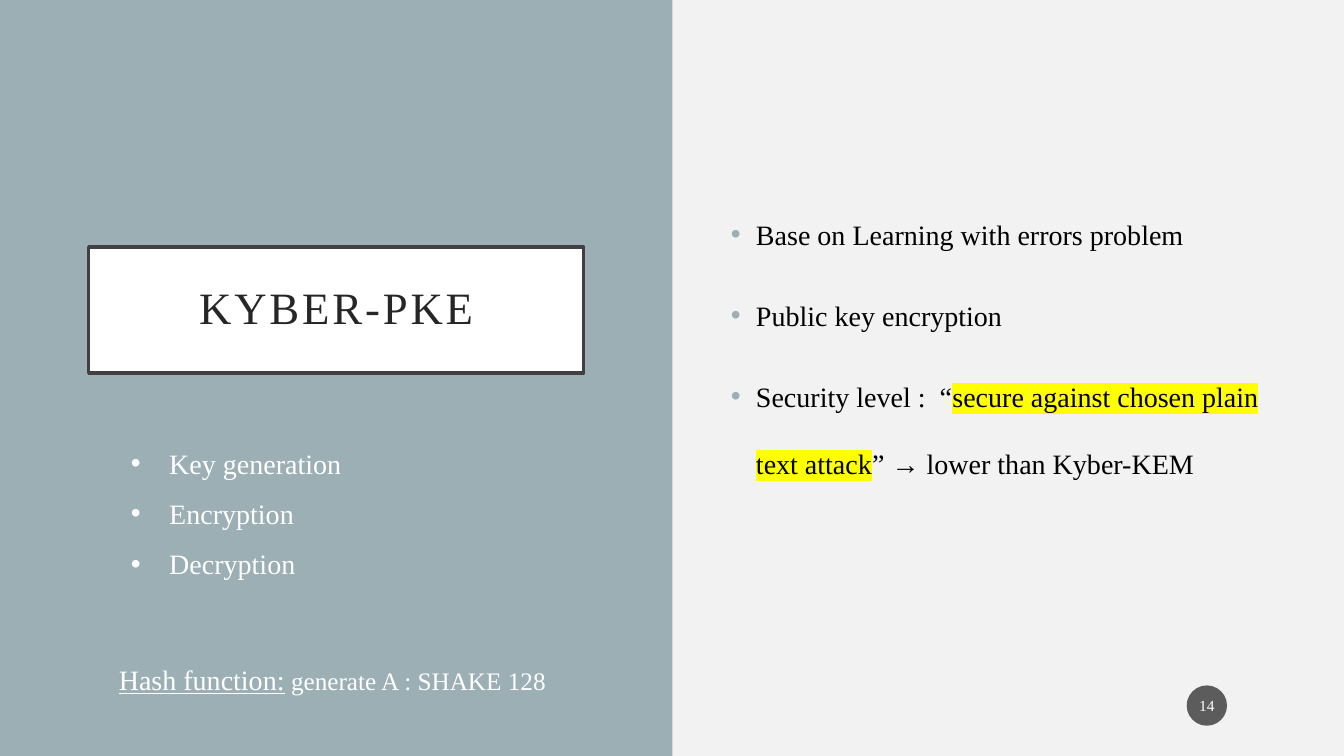
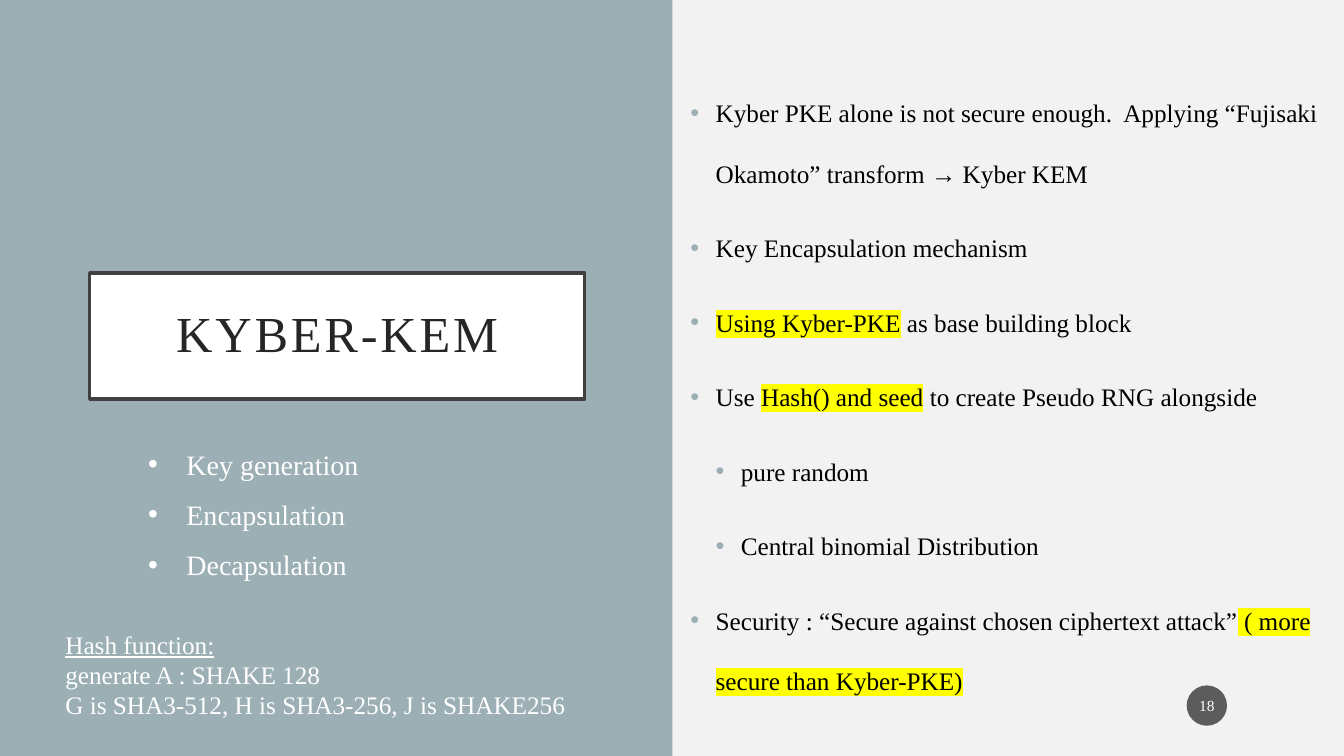
"""Build two slides on the Kyber encryption and encapsulation schemes."""
import dataclasses

import lxml.etree
import pptx
import pptx.dml.color
import pptx.enum.shapes
import pptx.enum.text
import pptx.oxml.ns
import pptx.util

Inches = pptx.util.Inches
Pt = pptx.util.Pt
Shape = pptx.enum.shapes.MSO_SHAPE
Align = pptx.enum.text.PP_ALIGN
Anchor = pptx.enum.text.MSO_ANCHOR
qn = pptx.oxml.ns.qn


@dataclasses.dataclass(frozen=True)
class Theme:
    """Colours, fonts and type sizes shared by the slides."""
    font: str = "Times New Roman"
    symbol_font: str = "Arial"
    background: str = "F2F2F2"
    accent: str = "9BAFB5"
    white: str = "FFFFFF"
    black: str = "000000"
    title: str = "262626"
    frame: str = "404040"
    badge: str = "1D1D1D"
    highlight: str = "FFFF00"
    large: int = 20
    normal: int = 18
    small: int = 11


@dataclasses.dataclass(frozen=True)
class Part:
    """A stretch of text with its own look."""
    text: str
    mark: bool = False
    underline: bool = False
    size: int = 0
    font: str = ""


THEME = Theme()
ARROW = Part("→", font=THEME.symbol_font)


def rgb(value):
    """Turn a hex string into a colour."""
    return pptx.dml.color.RGBColor.from_string(value)


def add_child(parent, tag, **attributes):
    """Append an XML element with the given attributes."""
    child = lxml.etree.SubElement(parent, qn(tag))
    for name, value in attributes.items():
        child.set(name, value)
    return child


def add_run(p, part, size, color):
    """Add a formatted run to a paragraph."""
    if isinstance(part, str):
        part = Part(part)
    r = p.add_run()
    r.text = part.text
    r.font.size = Pt(part.size or size)
    r.font.color.rgb = rgb(color)
    r.font.name = part.font or THEME.font
    if part.underline:
        r.font.underline = True
    if part.mark:
        rPr = r.font._element
        highlight = add_child(rPr, "a:highlight")
        add_child(highlight, "a:srgbClr", val=THEME.highlight)
        rPr.find(qn("a:latin")).addprevious(highlight)
    return r


def add_bullet(p, color, indent, level=0):
    """Give a paragraph a round bullet and a hanging indent."""
    pPr = p._p.get_or_add_pPr()
    pPr.set("marL", str(Inches(indent * (level + 1))))
    pPr.set("indent", str(-Inches(indent)))
    add_child(add_child(pPr, "a:buClr"), "a:srgbClr", val=color)
    add_child(pPr, "a:buFont", typeface=THEME.symbol_font)
    add_child(pPr, "a:buChar", char="•")


def add_text(s, box, lines, size, color, spacing=None, before=0, bullet=None, indent=0):
    """Add a text box; each line is a list of parts with an optional leading level."""
    tf = s.shapes.add_textbox(*map(Inches, box)).text_frame
    tf.word_wrap = True
    for i, line in enumerate(lines):
        level, parts = (line[0], line[1:]) if isinstance(line[0], int) else (0, line)
        p = tf.paragraphs[0] if i == 0 else tf.add_paragraph()
        p.level = level
        p.space_before = Pt(before)
        if spacing:
            p.line_spacing = spacing
        if bullet:
            add_bullet(p, bullet, indent, level)
        for part in parts:
            add_run(p, part, size, color)


def add_topics(s, box, topics):
    """Add the white bulleted list on the left panel."""
    add_text(s, box, [[topic] for topic in topics], THEME.large, THEME.white,
             spacing=1.5, bullet=THEME.white, indent=0.38)


def add_points(s, box, points, size):
    """Add the widely spaced bulleted list on the right half."""
    add_text(s, box, points, size, THEME.black,
             spacing=2.0, before=10, bullet=THEME.accent, indent=0.25)


def add_panel(s, kind, box, fill):
    """Add a filled preset shape without line or shadow."""
    sp = s.shapes.add_shape(kind, *map(Inches, box))
    sp.shadow.inherit = False
    sp.fill.solid()
    sp.fill.fore_color.rgb = rgb(fill)
    sp.line.fill.background()
    return sp


def set_label(sp, text, size, color, margins):
    """Centre one line of text in a shape."""
    tf = sp.text_frame
    tf.word_wrap = True
    tf.vertical_anchor = Anchor.MIDDLE
    across, down = map(Inches, margins)
    tf.margin_left = tf.margin_right = across
    tf.margin_top = tf.margin_bottom = down
    p = tf.paragraphs[0]
    p.alignment = Align.CENTER
    return add_run(p, text, size, color)


def add_title(s, text, left, top, size):
    """Add the framed title box."""
    sp = add_panel(s, Shape.RECTANGLE, (left, top, 4.91, 1.25), THEME.white)
    sp.line.color.rgb = rgb(THEME.frame)
    sp.line.width = Pt(2.5)
    r = set_label(sp, text, size, THEME.title, (0.2, 0.2))
    r.font._element.set("spc", "200")
    sp.text_frame.paragraphs[0].line_spacing = 0.9


def add_page_number(s, number):
    """Add the translucent round page number."""
    sp = add_panel(s, Shape.OVAL, (11.77, 6.8, 0.4, 0.4), THEME.badge)
    color = sp._element.spPr.find(qn("a:solidFill")).find(qn("a:srgbClr"))
    add_child(color, "a:alpha", val="70000")
    set_label(sp, str(number), THEME.small, THEME.white, (0.02, 0.05))


def add_slide(prs, number):
    """Add a blank slide with background, left panel and page number."""
    s = prs.slides.add_slide(prs.slide_layouts[6])
    s.background.fill.solid()
    s.background.fill.fore_color.rgb = rgb(THEME.background)
    add_panel(s, Shape.RECTANGLE, (0, 0, 6.67, 7.5), THEME.accent)
    add_page_number(s, number)
    return s


def build_pke(prs):
    """Build the slide on public key encryption."""
    s = add_slide(prs, 14)
    add_title(s, "KYBER-PKE", 0.88, 2.45, 32)
    add_points(s, (7.15, 1.77, 5.87, 4.21), [
        ["Base on Learning with errors problem"],
        ["Public key encryption"],
        ["Security level :  “", Part("secure against chosen plain text attack", mark=True),
         "” ", ARROW, " lower than Kyber-KEM"],
    ], THEME.large)
    add_topics(s, (1.2, 4.21, 4.91, 2.08), ["Key generation", "Encryption", "Decryption"])
    add_text(s, (1.08, 6.52, 5.03, 0.48), [
        [Part("Hash function:", underline=True, size=THEME.large), " generate A : SHAKE 128"],
    ], THEME.normal, THEME.white)


def build_kem(prs):
    """Build the slide on key encapsulation."""
    s = add_slide(prs, 18)
    add_title(s, "KYBER-KEM", 0.89, 2.71, 36)
    add_points(s, (6.75, 0.62, 6.43, 5.74), [
        ["Kyber PKE alone is not secure enough.  Applying “Fujisaki Okamoto” transform ",
         ARROW, " Kyber KEM"],
        ["Key Encapsulation mechanism"],
        [Part("Using Kyber-PKE", mark=True), " as base building block"],
        ["Use ", Part("Hash() and seed", mark=True), " to create Pseudo RNG alongside"],
        [1, "pure random"],
        [1, "Central binomial Distribution"],
        ["Security : “Secure against chosen ciphertext attack”",
         Part(" ( more secure than Kyber-PKE)", mark=True)],
    ], THEME.normal)
    add_topics(s, (1.37, 4.22, 4.91, 1.55), ["Key generation", "Encapsulation", "Decapsulation"])
    add_text(s, (0.55, 6.19, 5.82, 1.01), [
        [Part("Hash function:", underline=True)],
        ["generate A : SHAKE 128"],
        ["G is SHA3-512, H is SHA3-256, J is SHAKE256"],
    ], THEME.normal, THEME.white)


def main():
    """Build and save the presentation."""
    prs = pptx.Presentation()
    prs.slide_width, prs.slide_height = Inches(13.33), Inches(7.5)
    build_pke(prs)
    build_kem(prs)
    prs.save("out.pptx")


if __name__ == "__main__":
    main()
